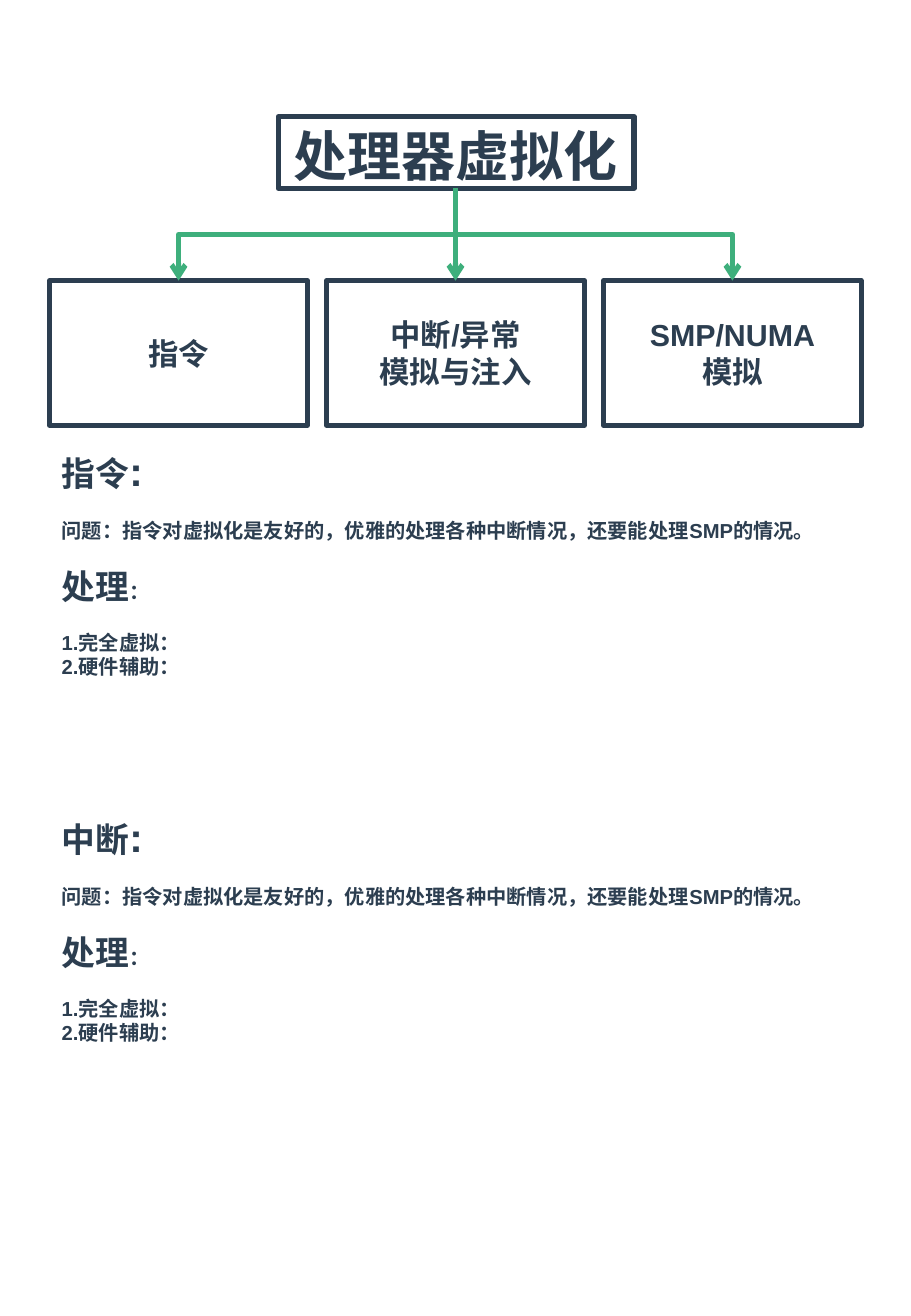
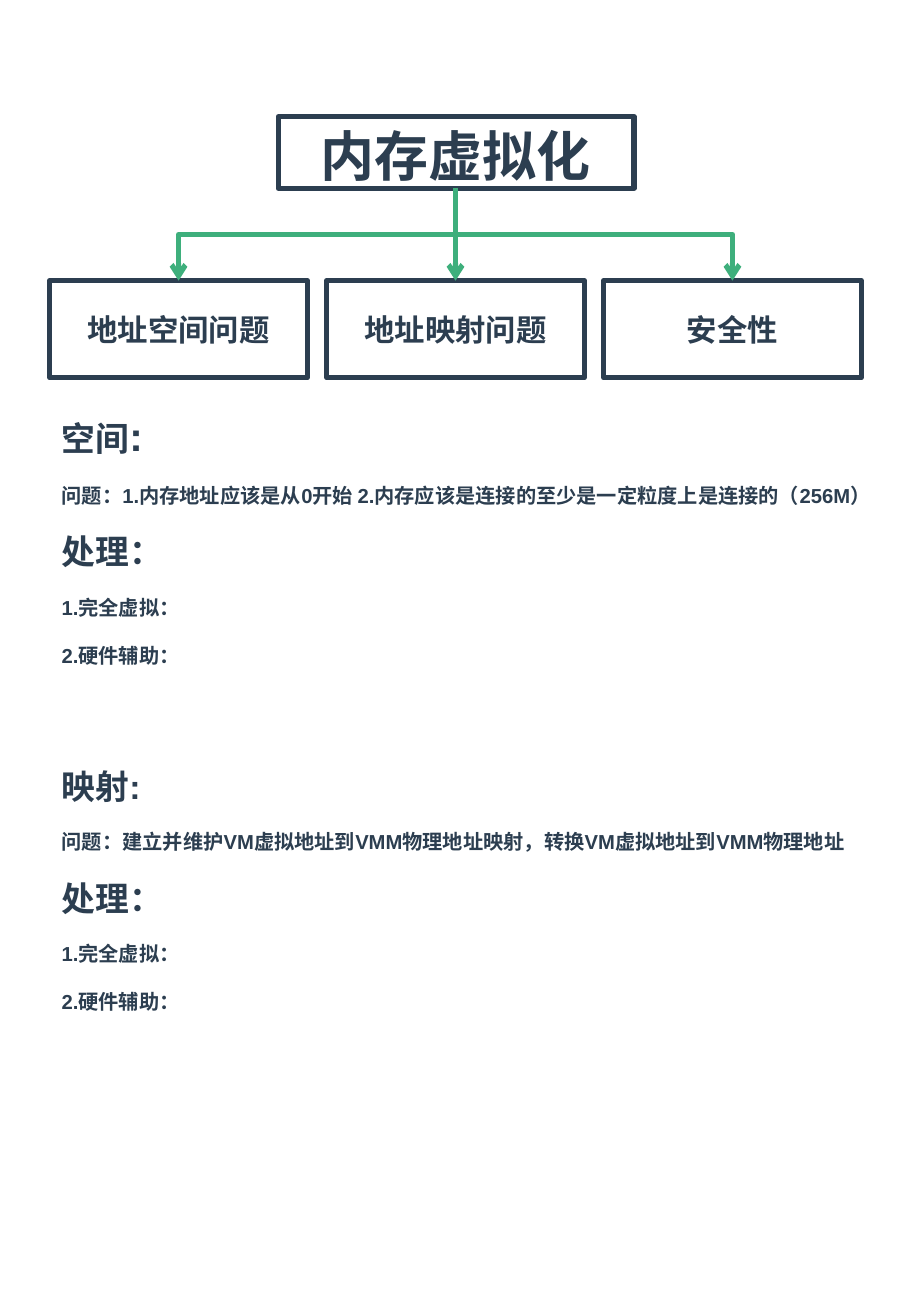
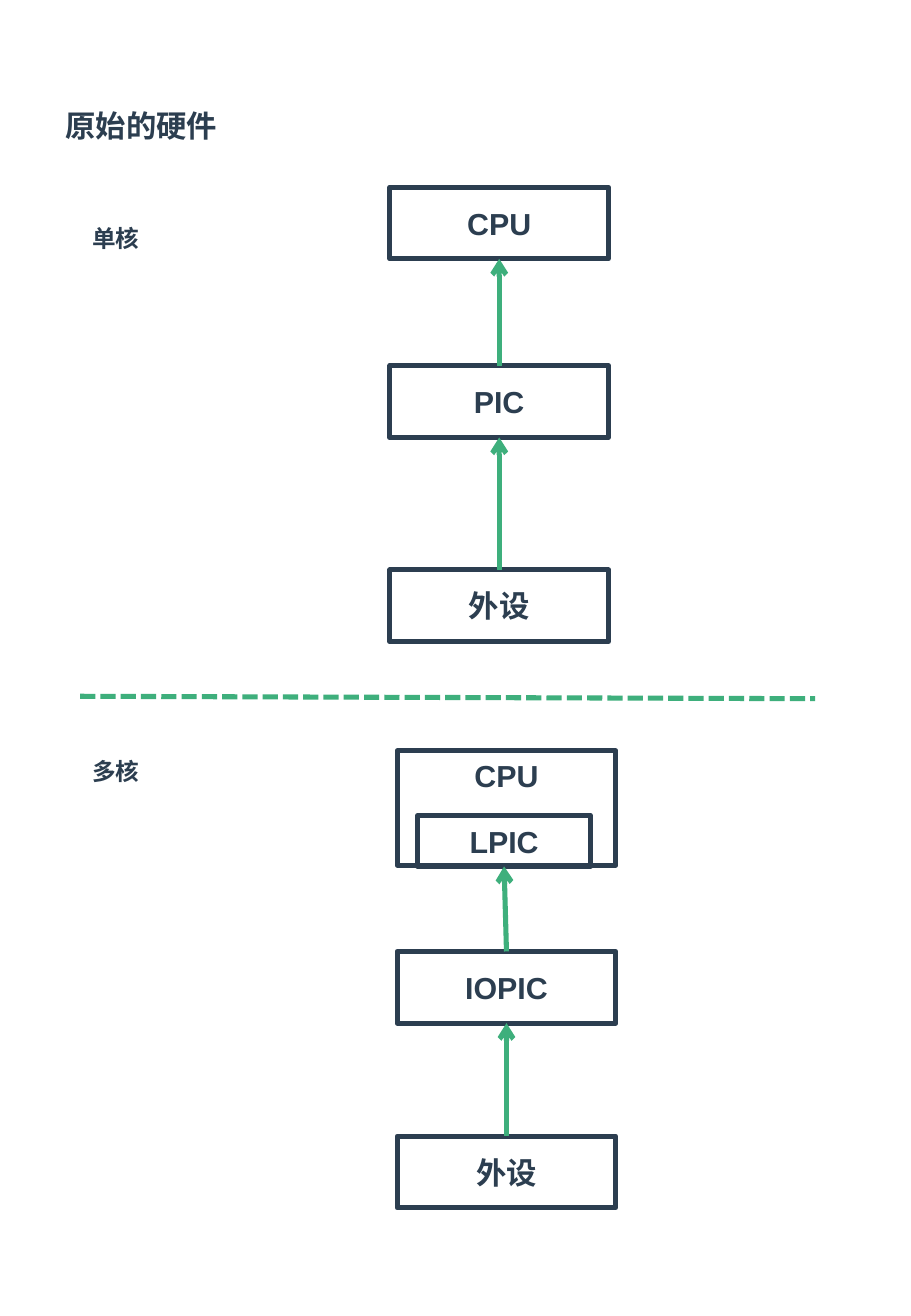
from lxml import etree
from pptx import Presentation
from pptx import util as u
from pptx.dml.color import RGBColor
from pptx.enum import dml, shapes, text
from pptx.oxml import ns

INK, GREEN = "2C3E50", "3EAF7C"
FONT = "Arial"
LINE_WIDTH = 3
PARAGRAPH_GAP = 14


def color(value):
    return RGBColor.from_string(value)


def set_font(font, size):
    font.name, font.size, font.bold = FONT, u.Pt(size), True
    font.color.rgb = color(INK)


# Shared parts
def add_box(slide, at, lines, size=18, anchor=text.MSO_ANCHOR.MIDDLE):
    box = slide.shapes.add_shape(shapes.MSO_SHAPE.RECTANGLE, *map(u.Inches, at))
    box.shadow.inherit = False
    box.fill.background()
    box.line.color.rgb = color(INK)
    box.line.width = u.Pt(LINE_WIDTH)
    frame = box.text_frame
    frame.vertical_anchor = anchor
    for i, line in enumerate(lines):
        paragraph = frame.add_paragraph() if i else frame.paragraphs[0]
        paragraph.text = line
        paragraph.alignment = text.PP_ALIGN.CENTER
        set_font(paragraph.font, size)
    return box


def add_label(slide, at, words, size):
    frame = slide.shapes.add_textbox(*map(u.Inches, at)).text_frame
    frame.word_wrap = False
    frame.paragraphs[0].text = words
    set_font(frame.paragraphs[0].font, size)


def add_line(slide, start, end, kind=shapes.MSO_CONNECTOR.STRAIGHT, arrow=True):
    line = slide.shapes.add_connector(kind, *map(u.Inches, (*start, *end)))
    line.line.color.rgb = color(GREEN)
    line.line.width = u.Pt(LINE_WIDTH)
    if arrow:
        etree.SubElement(line.line._get_or_add_ln(), ns.qn("a:tailEnd"), type="arrow")
    etree.SubElement(line._element.spPr, ns.qn("a:effectLst"))
    return line


def add_branch(slide, start, end):
    """Elbow that leaves downwards: a horizontal elbow turned by 90 degrees."""
    (x0, y0), (x1, y1) = start, end
    drop, reach = y1 - y0, abs(x1 - x0)
    left, top = (x0 + x1 - drop) / 2, (y0 + y1 - reach) / 2
    ys = (top, top + reach) if x1 < x0 else (top + reach, top)
    elbow = add_line(slide, (left, ys[0]), (left + drop, ys[1]),
                     shapes.MSO_CONNECTOR.ELBOW)
    elbow._element.spPr.xfrm.set("rot", "5400000")


def add_upward_arrow(slide, lower, upper):
    arrow = add_line(slide, (0, 0), (1, 1))
    arrow.begin_connect(lower, 0)
    arrow.end_connect(upper, 2)


# Topic tree: a title box with three branches
def add_tree(slide, title, topics, topic_height):
    left, top, width, pitch = 0.41, 2.31, 2.12, 2.28
    root_x, root_bottom = left + pitch + width / 2, 1.55
    for i, lines in enumerate(topics):
        add_box(slide, (left + i * pitch, top, width, topic_height), lines)
    add_box(slide, (2.29, 0.96, 2.93, 0.59), [title], 32, text.MSO_ANCHOR.TOP)
    root = (root_x, root_bottom)
    add_branch(slide, root, (root_x - pitch, top))
    add_branch(slide, root, (root_x + pitch, top))
    add_line(slide, root, (root_x, top))


# Notes: a heading, its problem, and the ways to handle it
def add_notes(slide, at, heading, problem, handling, item_gap):
    frame = slide.shapes.add_textbox(*map(u.Inches, at)).text_frame
    frame.word_wrap = True
    rows = [
        (heading, 0),
        ([(problem, 12)], PARAGRAPH_GAP),
        (handling, PARAGRAPH_GAP),
        ([("1.完全虚拟：", 12)], PARAGRAPH_GAP),
        ([("2.硬件辅助：", 12)], item_gap),
    ]
    for i, (runs, gap) in enumerate(rows):
        paragraph = frame.add_paragraph() if i else frame.paragraphs[0]
        if gap:
            paragraph.space_before = u.Pt(gap)
        for words, size in runs:
            run = paragraph.add_run()
            run.text = words
            set_font(run.font, size)


# Hardware chain: boxes from top to bottom, arrows going up
def add_chain(slide, label_top, label, left, boxes):
    add_label(slide, (0.66, label_top, 0.59, 0.34), label, 14)
    chain = [add_box(slide, (left, top, 1.8, 0.59), [name]) for top, name in boxes]
    for upper, lower in zip(chain, chain[1:]):
        add_upward_arrow(slide, lower, upper)
    return chain


def build_processor(slide):
    add_tree(slide, "处理器虚拟化",
             [["指令"], ["中断/异常", "模拟与注入"], ["SMP/NUMA", "模拟"]], 1.19)
    for top, topic in ((3.62, "指令"), (6.63, "中断")):
        add_notes(slide, (0.41, top, 6.55, 2.05), [(topic, 20), (":", 24)],
                  "问题：指令对虚拟化是友好的，优雅的处理各种中断情况，还要能处理SMP的情况。",
                  [("处理", 20), ("：", 12)], 0)


def build_memory(slide):
    add_tree(slide, "内存虚拟化", [["地址空间问题"], ["地址映射问题"], ["安全性"]], 0.8)
    handling = [("处理：", 20)]
    add_notes(slide, (0.41, 3.33, 7.1, 2.25), [("空间", 20), (":", 24)],
              "问题：1.内存地址应该是从0开始 2.内存应该是连接的至少是一定粒度上是连接的（256M）",
              handling, PARAGRAPH_GAP)
    add_notes(slide, (0.41, 6.25, 6.9, 2.19), [("映射:", 20)],
              "问题：建立并维护VM虚拟地址到VMM物理地址映射，转换VM虚拟地址到VMM物理地址",
              handling, PARAGRAPH_GAP)


def build_hardware(slide):
    add_label(slide, (0.44, 0.83, 1.45, 0.4), "原始的硬件", 18)
    divider = add_line(slide, (0.66, 5.73), (6.71, 5.75), arrow=False)
    divider.line.dash_style = dml.MSO_LINE.SQUARE_DOT
    add_chain(slide, 1.79, "单核", 3.21, [(1.54, "CPU"), (3.01, "PIC"), (4.69, "外设")])
    # Multi-core: the local controller sits inside the CPU
    add_box(slide, (3.27, 6.18, 1.8, 0.94), ["CPU"], anchor=text.MSO_ANCHOR.TOP)
    local_pic = add_box(slide, (3.44, 6.71, 1.42, 0.42), ["LPIC"])
    io_pic = add_chain(slide, 6.18, "多核", 3.27, [(7.83, "IOPIC"), (9.35, "外设")])[0]
    add_upward_arrow(slide, io_pic, local_pic)


def main():
    deck = Presentation()
    deck.slide_width, deck.slide_height = u.Inches(7.5), u.Inches(10.83)
    for build in (build_processor, build_memory, build_hardware):
        build(deck.slides.add_slide(deck.slide_layouts[6]))
    deck.save("out.pptx")


if __name__ == "__main__":
    main()
